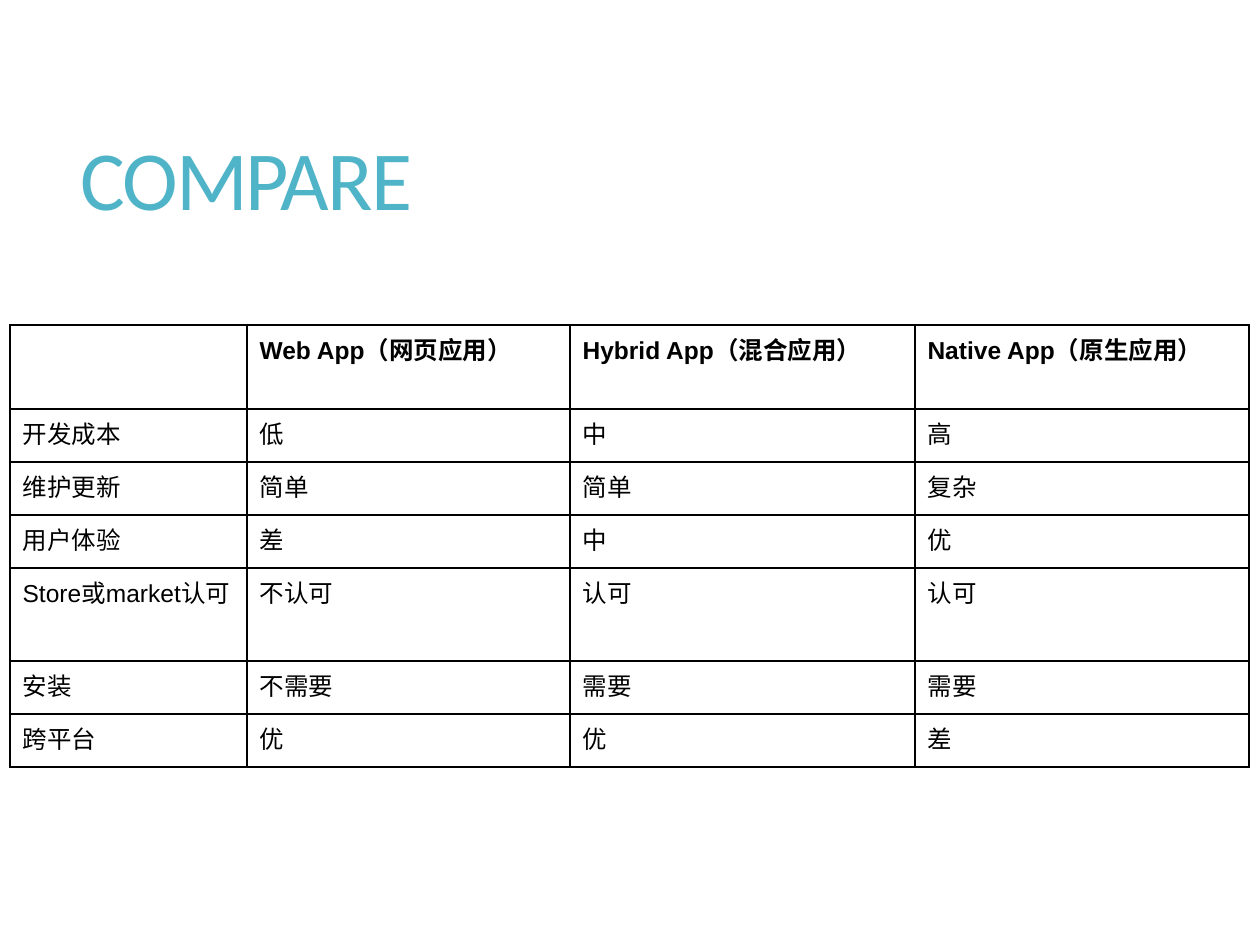
"""Build a slide comparing web, hybrid and native apps."""
from lxml import etree
from pptx import Presentation
from pptx.dml.color import RGBColor
from pptx.enum.text import MSO_ANCHOR, PP_ALIGN
from pptx.oxml.ns import qn
from pptx.util import Pt

MIDDLE = MSO_ANCHOR.MIDDLE
LEFT = PP_ALIGN.LEFT
SCALE = 914400 / 126
COLORS = {"title": "50B4C8", "ink": "000000"}
COLUMN_WIDTHS = [237, 323, 345, 334]
ROW_HEIGHTS = [84, 53, 53, 53, 93, 53, 53]
COMPARISON = [
    ["", "Web App（网页应用）", "Hybrid App（混合应用）", "Native App（原生应用）"],
    ["开发成本", "低", "中", "高"],
    ["维护更新", "简单", "简单", "复杂"],
    ["用户体验", "差", "中", "优"],
    ["Store或market认可", "不认可", "认可", "认可"],
    ["安装", "不需要", "需要", "需要"],
    ["跨平台", "优", "优", "差"],
]


def px(length):
    return round(length * SCALE)


def add_text(paragraph, text, font_name, size, color, bold=False):
    run = paragraph.add_run()
    run.text = text
    run.font.name = font_name
    run.font.size = Pt(size)
    run.font.bold = bold
    run.font.color.rgb = RGBColor.from_string(COLORS[color])
    return run


prs = Presentation()
prs.slide_width, prs.slide_height = px(1260), px(945)
slide = prs.slides.add_slide(prs.slide_layouts[5])

title = slide.shapes.title
title.left, title.top, title.width, title.height = px(68), px(69), px(1114), px(228)
title.text_frame.vertical_anchor = MIDDLE
heading = title.text_frame.paragraphs[0]
heading.alignment = LEFT
heading.line_spacing = 0.9
heading_run = add_text(heading, "COMPARE", "Calibri", 48, "title")
heading_run.font._element.set("spc", "-120")

comparison = slide.shapes.add_table(
    len(ROW_HEIGHTS), len(COLUMN_WIDTHS), px(10), px(325),
    px(sum(COLUMN_WIDTHS)), px(sum(ROW_HEIGHTS))).table
comparison.first_row = False
comparison.horz_banding = False
for column, width in zip(comparison.columns, COLUMN_WIDTHS):
    column.width = px(width)
for row, height in zip(comparison.rows, ROW_HEIGHTS):
    row.height = px(height)

for row_index, entries in enumerate(COMPARISON):
    for column_index, entry in enumerate(entries):
        cell = comparison.cell(row_index, column_index)
        if entry:
            add_text(cell.text_frame.paragraphs[0], entry, "Arial", 14, "ink",
                     bold=row_index == 0)
        properties = cell._tc.get_or_add_tcPr()
        for side in ("a:lnL", "a:lnR", "a:lnT", "a:lnB"):
            border = etree.SubElement(properties, qn(side), w=str(Pt(1)))
            border_fill = etree.SubElement(border, qn("a:solidFill"))
            etree.SubElement(border_fill, qn("a:srgbClr"), val=COLORS["ink"])
        cell.fill.background()

prs.save("out.pptx")
